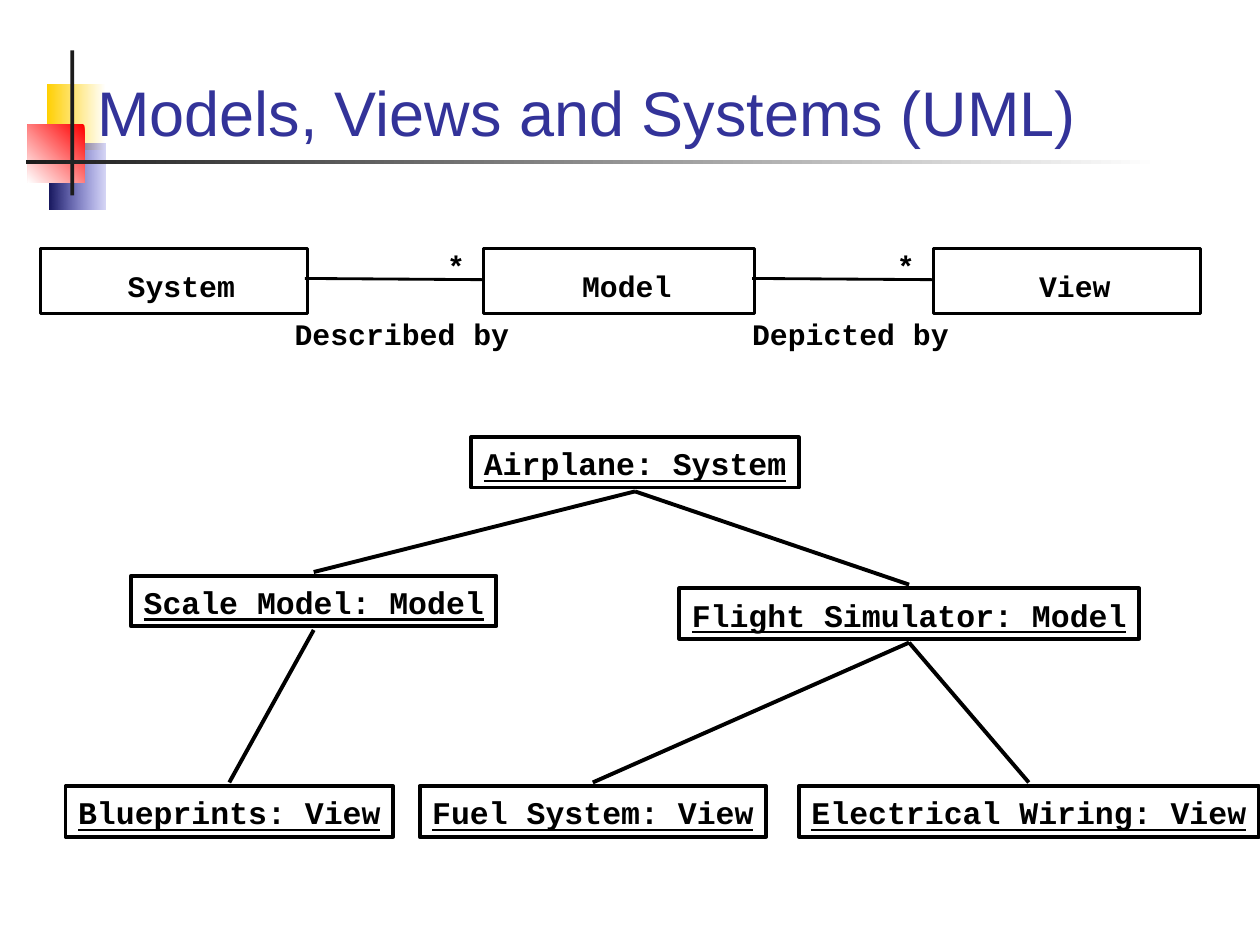
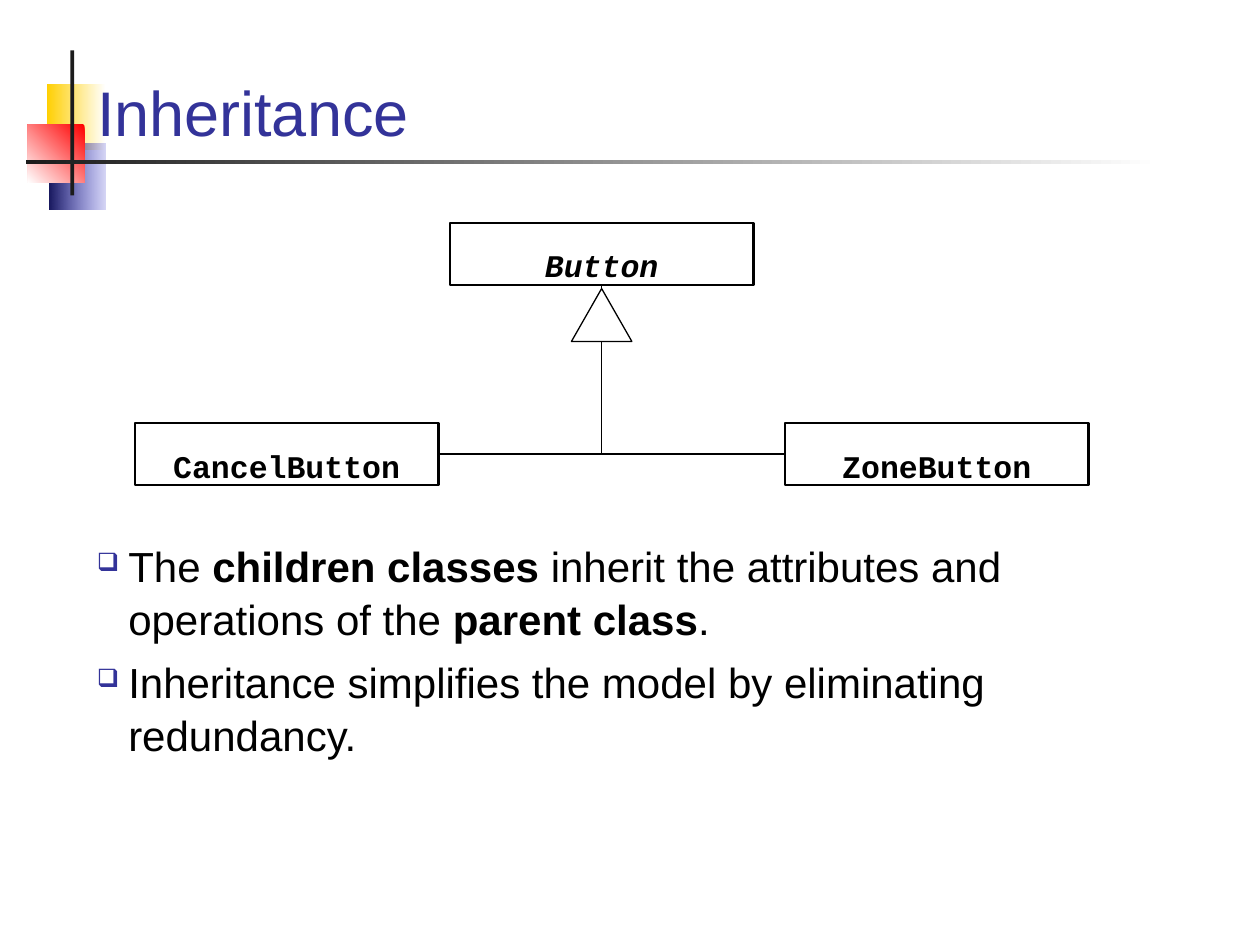
from lxml import etree
from pptx import Presentation
from pptx.dml.color import RGBColor
from pptx.enum import shapes, text
from pptx.oxml import ns
from pptx.util import Inches, Pt

BLACK, WHITE, INK, TITLE_BLUE = "000000", "FFFFFF", "1C1C1C", "333399"
SANS, MONO = "Arial", "Courier New"
TITLE_BOX = (0.67, 0.28, 8.66, 0.95)
TITLE_FONT = {"name": SANS, "size": Pt(36), "bold": False}
BODY_FONT = {"name": SANS, "size": Pt(24)}
NO_MARGINS = dict.fromkeys(("margin_left", "margin_top", "margin_right", "margin_bottom"), 0)
LINE_SPACING = 1.05

# Corner ornament: box, gradient stops, clockwise angle, opacity of first stop
ORNAMENT = [
    ((0.37, 0.67, 0.47, 0.52), (WHITE, "FFCF01"), 180, 100),
    ((0.39, 1.14, 0.45, 0.52), ("3333CC", "17175E"), 180, 20),
    ((0.22, 0.99, 0.45, 0.46), ("FF0000", WHITE), 135, 100),
    ((0.56, 0.40, 0.03, 1.15), (INK, INK), 0, 100),
    ((0.21, 1.27, 9.00, 0.03), (WHITE, INK), 180, 100),
]


def color(hex_string):
    return RGBColor.from_string(hex_string)


def set_values(target, values):
    for name, value in values.items():
        setattr(target, name, value)


def set_font(font, values, hex_color=BLACK):
    set_values(font, values)
    font.color.rgb = color(hex_color)


def add_box(slide, box, fill=None, line=None, width=1, kind=shapes.MSO_SHAPE.RECTANGLE):
    shape = slide.shapes.add_shape(kind, *map(Inches, box))
    shape.shadow.inherit = False
    if fill:
        shape.fill.solid()
        shape.fill.fore_color.rgb = color(fill)
    else:
        shape.fill.background()
    if line:
        shape.line.color.rgb = color(line)
        shape.line.width = Pt(width)
    else:
        shape.line.fill.background()
    return shape


def add_line(slide, start, end, width, kind=shapes.MSO_CONNECTOR.STRAIGHT):
    connector = slide.shapes.add_connector(kind, *map(Inches, (*start, *end)))
    connector.line.color.rgb = color(BLACK)
    connector.line.width = Pt(width)
    etree.SubElement(connector.element.spPr, ns.qn("a:effectLst"))
    return connector


def write_centered(shape, words, size, **style):
    frame = shape.text_frame
    set_values(frame, {"word_wrap": False, "auto_size": text.MSO_AUTO_SIZE.NONE})
    paragraph = frame.paragraphs[0]
    set_values(paragraph, {"text": words, "alignment": text.PP_ALIGN.CENTER,
                           "line_spacing": LINE_SPACING})
    set_font(paragraph.runs[0].font,
             {"name": MONO, "size": Pt(size), "bold": True, **style})


def add_label(slide, words, center, top, size, **style):
    """Monospaced label, whose width follows from its number of letters."""
    width = len(words) * size * 0.6 / 72
    box = (center - width / 2, top, width, size / 60)
    shape = slide.shapes.add_textbox(*map(Inches, box))
    set_values(shape.text_frame, NO_MARGINS)
    write_centered(shape, words, size, **style)


def add_class(slide, box, name, size, line_width, shift, drop, **style):
    left, top, width, _ = box
    add_box(slide, box, line=BLACK, width=line_width)
    add_label(slide, name, left + width / 2 + shift, top + drop, size, **style)


# Shared frame of every slide
def add_ornament(slide):
    for box, stops, angle, opacity in ORNAMENT:
        fill = add_box(slide, box).fill
        if stops[0] == stops[1]:
            fill.solid()
            fill.fore_color.rgb = color(stops[0])
            continue
        fill.gradient()
        fill.gradient_angle = (360 - angle) % 360
        for stop, hex_color, position in zip(fill.gradient_stops, stops, (0, 1)):
            stop.color.rgb = color(hex_color)
            stop.position = position
        if opacity < 100:
            first = fill.gradient_stops[0].color
            rgb = next(node for node in slide.shapes[-1].element.iter(ns.qn("a:srgbClr"))
                       if node.get("val") == str(first.rgb))
            etree.SubElement(rgb, ns.qn("a:alpha"), val=str(opacity * 1000))


def add_titled_slide(presentation, words):
    slide = presentation.slides.add_slide(presentation.slide_layouts[5])
    add_ornament(slide)
    title = slide.shapes.title
    set_values(title, dict(zip(("left", "top", "width", "height"), map(Inches, TITLE_BOX))))
    set_values(title.text_frame, {"text": words, "word_wrap": True,
                                  "vertical_anchor": text.MSO_ANCHOR.BOTTOM,
                                  "auto_size": text.MSO_AUTO_SIZE.NONE})
    paragraph = title.text_frame.paragraphs[0]
    paragraph.alignment = text.PP_ALIGN.LEFT
    set_font(paragraph.runs[0].font, TITLE_FONT, TITLE_BLUE)
    slide.shapes.element.append(title.element)  # in front of the ornament
    return slide


# Row of classes joined by one-to-many associations
def add_association_row(slide, top, height):
    classes = [("System", 0.32, 2.12), ("Model", 3.84, 2.15), ("View", 7.41, 2.12)]
    for name, left, width in classes:
        add_class(slide, (left, top, width, height), name, 17, 1.62, shift=0.06, drop=0.14)
    roles = ["Described by", "Depicted by"]
    for role, (_, left, width), (_, target, _) in zip(roles, classes, classes[1:]):
        right = left + width
        add_line(slide, (right - 0.02, top + 0.24), (target, top + 0.25), 1.62)
        add_label(slide, "*", target - 0.22, top - 0.02, 17)
        add_label(slide, role, (right + target) / 2 + 0.05, top + 0.52, 17)


# Tree of instances: every child is linked to its parent
def add_instance_tree(slide, top):
    height, gap = 0.4, 0.03
    nodes = {  # name: left, drop below the top, width, parent
        "Airplane: System": (3.74, 0, 2.6, None),
        "Scale Model: Model": (1.04, 1.1, 2.9, "Airplane: System"),
        "Flight Simulator: Model": (5.39, 1.2, 3.65, "Airplane: System"),
        "Blueprints: View": (0.52, 2.77, 2.6, "Scale Model: Model"),
        "Fuel System: View": (3.33, 2.77, 2.75, "Flight Simulator: Model"),
        "Electrical Wiring: View": (6.34, 2.77, 3.65, "Flight Simulator: Model"),
    }
    for name, (left, drop, width, parent) in nodes.items():
        shape = add_box(slide, (left, top + drop, width, height), WHITE, BLACK, 2.25)
        shape.text_frame.vertical_anchor = text.MSO_ANCHOR.MIDDLE
        write_centered(shape, name, 18, underline=True)
        if parent:
            parent_left, parent_drop, parent_width, _ = nodes[parent]
            add_line(slide,
                     (parent_left + parent_width / 2, top + parent_drop + height + gap),
                     (left + width / 2, top + drop - gap), 2.25)


# Parent class above two children
def add_inheritance(slide, left, top):
    width, height, child_drop = 2.41, 0.49, 1.59
    style = {"size": 18, "line_width": 1.25, "shift": 0, "drop": 0.17}
    parent_left, zone_left = left + 2.5, left + 5.16
    center, bottom = parent_left + width / 2, top + height
    add_class(slide, (parent_left, top, width, height), "Button", italic=True, **style)
    children = [("CancelButton", left, left + width), ("ZoneButton", zone_left, zone_left)]
    for name, child_left, edge in children:
        add_class(slide, (child_left, top + child_drop, width, height), name, **style)
        connector = add_line(slide, (edge, top + child_drop + height / 2), (center, bottom),
                             0.75, shapes.MSO_CONNECTOR.ELBOW)
        geometry = connector.element.spPr.find(ns.qn("a:prstGeom"))
        geometry.set("prst", "bentConnector2")  # a single corner
    add_box(slide, (center - 0.24, bottom + 0.03, 0.48, 0.42), WHITE, BLACK, 0.75,
            shapes.MSO_SHAPE.ISOSCELES_TRIANGLE)


# Bulleted text; each paragraph is a list of (words, bold)
def add_bullets(slide, box, paragraphs):
    frame = slide.shapes.add_textbox(*map(Inches, box)).text_frame
    frame.word_wrap = True
    for index, runs in enumerate(paragraphs):
        paragraph = frame.add_paragraph() if index else frame.paragraphs[0]
        paragraph.line_spacing = LINE_SPACING
        paragraph.space_before = Pt(6 if index else 0)
        properties = paragraph._p.get_or_add_pPr()
        properties.set("marL", str(Inches(0.25)))
        properties.set("indent", str(Inches(-0.25)))
        bullet_color = etree.SubElement(properties, ns.qn("a:buClr"))
        etree.SubElement(bullet_color, ns.qn("a:srgbClr"), val=TITLE_BLUE)
        etree.SubElement(properties, ns.qn("a:buSzPct"), val="60000")
        etree.SubElement(properties, ns.qn("a:buChar"), char="❑")
        for words, bold in runs:
            run = paragraph.add_run()
            run.text = words
            set_font(run.font, {**BODY_FONT, "bold": bold})


def main():
    presentation = Presentation()
    presentation.slide_width, presentation.slide_height = Inches(10), Inches(7.5)

    slide = add_titled_slide(presentation, "Models, Views and Systems (UML)")
    add_association_row(slide, top=1.97, height=0.52)
    add_instance_tree(slide, top=3.47)

    slide = add_titled_slide(presentation, "Inheritance")
    add_bullets(slide, (0.67, 4.22, 8.66, 2.16), [
        [("The ", False), ("children classes", True),
         (" inherit the attributes and operations of the ", False),
         ("parent class", True), (".", False)],
        [("Inheritance simplifies the model by eliminating redundancy.", False)],
    ])
    add_inheritance(slide, left=1.07, top=1.77)

    presentation.save("out.pptx")


if __name__ == "__main__":
    main()
